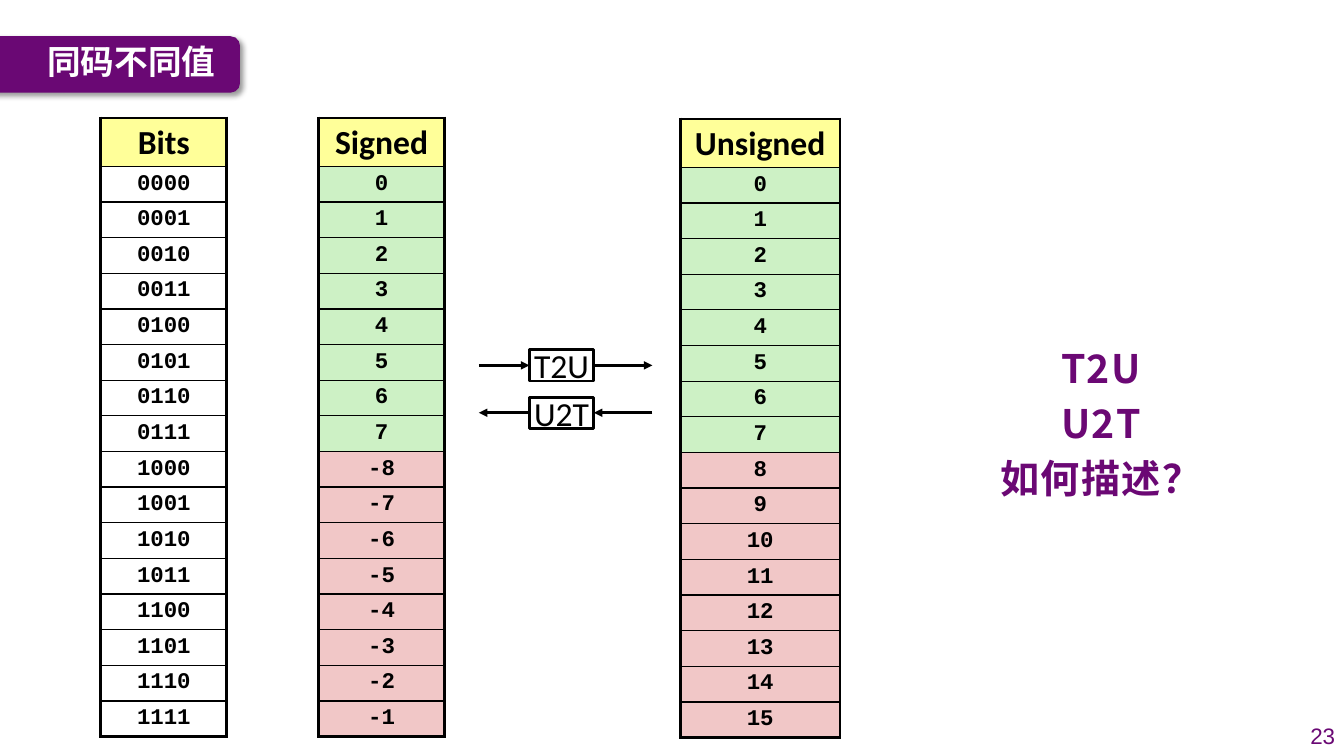
from lxml import etree
from pptx import Presentation
from pptx.dml.color import RGBColor
from pptx.enum.shapes import MSO_CONNECTOR, MSO_SHAPE
from pptx.enum.text import MSO_ANCHOR, PP_ALIGN
from pptx.oxml import parse_xml
from pptx.oxml.ns import nsdecls, qn
from pptx.util import Inches, Pt

STRAIGHT = MSO_CONNECTOR.STRAIGHT
RECTANGLE, ROUNDED = MSO_SHAPE.RECTANGLE, MSO_SHAPE.ROUNDED_RECTANGLE
TOP, MIDDLE = MSO_ANCHOR.TOP, MSO_ANCHOR.MIDDLE
LEFT, CENTER, RIGHT = PP_ALIGN.LEFT, PP_ALIGN.CENTER, PP_ALIGN.RIGHT

PURPLE = RGBColor(0x6A, 0x08, 0x74)
QUESTION_PURPLE = RGBColor(0x6B, 0x08, 0x74)
WHITE = RGBColor(0xFF, 0xFF, 0xFF)
BLACK = RGBColor(0x00, 0x00, 0x00)
YELLOW = RGBColor(0xFF, 0xFF, 0x99)
GREEN = RGBColor(0xCD, 0xF1, 0xC5)
PINK = RGBColor(0xF1, 0xC7, 0xC7)

CHINESE = "Noto Sans CJK SC"
TITLE = {"name": CHINESE, "size": Pt(24), "bold": True, "color": WHITE}
QUESTION = {"name": CHINESE, "size": Pt(28), "bold": True, "color": QUESTION_PURPLE}
HEADING = {"name": "Calibri", "size": Pt(24), "bold": True, "color": BLACK}
CODE = {"name": "Courier New", "size": Pt(16), "bold": True, "color": BLACK}
LABEL = {"name": "Calibri", "size": Pt(24), "bold": False, "color": BLACK}
NUMBER = {"name": "Arial", "size": Pt(16), "bold": False, "color": PURPLE}

HEADING_HEIGHT, ROW_HEIGHT = 0.48, 0.35
BIT_COUNT = 4
CODES = range(2 ** BIT_COUNT)
HALF = len(CODES) // 2


def style_span(span, style):
    """Apply a dict of font values to a run."""
    for key, value in style.items():
        if key == "color":
            span.font.color.rgb = value
        else:
            setattr(span.font, key, value)
    if style["name"] == CHINESE:
        properties = span._r.get_or_add_rPr()
        etree.SubElement(properties, qn("a:ea")).set("typeface", CHINESE)


def write_lines(frame, lines, style, align, gap=0, tracking=0):
    """Write one styled paragraph for each line of text."""
    for index, line in enumerate(lines):
        para = frame.paragraphs[0] if index == 0 else frame.add_paragraph()
        para.alignment = align
        if index:
            para.space_before = Pt(gap)
        span = para.add_run()
        span.text = line
        style_span(span, style)
        if tracking:
            span._r.get_or_add_rPr().set("spc", str(tracking))


def add_text(page, area, lines, style, align, anchor=TOP, wrap=True, **spacing):
    """Add a text box."""
    box = page.shapes.add_textbox(*map(Inches, area))
    box.text_frame.word_wrap = wrap
    box.text_frame.vertical_anchor = anchor
    write_lines(box.text_frame, lines, style, align, **spacing)


def add_title_band(page):
    """Add the purple band with its soft shadow."""
    band = page.shapes.add_shape(ROUNDED, *map(Inches, (-0.81, 0.36, 3.19, 0.56)))
    band.fill.solid()
    band.fill.fore_color.rgb = PURPLE
    band.line.fill.background()
    band.shadow.inherit = False
    effects = band._element.spPr.find(qn("a:effectLst"))
    effects.append(parse_xml(
        f'<a:outerShdw {nsdecls("a")} blurRad="{Pt(4)}" dist="{Pt(3)}" dir="2700000" '
        'algn="tl" rotWithShape="0"><a:srgbClr val="000000"><a:alpha val="40000"/>'
        '</a:srgbClr></a:outerShdw>'))


def set_borders(cell, widths):
    """Draw black left, right, top and bottom cell borders."""
    properties = cell._tc.get_or_add_tcPr()
    for index, (side, width) in enumerate(zip("LRTB", widths)):
        properties.insert(index, parse_xml(
            f'<a:ln{side} {nsdecls("a")} w="{Pt(width)}"><a:solidFill>'
            f'<a:srgbClr val="{BLACK}"/></a:solidFill></a:ln{side}>'))


def add_column(page, left, top, width, heading, values, colors):
    """Add a one-column table with a heading and its values."""
    texts = [heading, *values]
    height = HEADING_HEIGHT + ROW_HEIGHT * len(values)
    area = map(Inches, (left, top, width, height))
    table = page.shapes.add_table(len(texts), 1, *area).table
    last = len(texts) - 1
    for index, (text, color) in enumerate(zip(texts, [YELLOW, *colors])):
        table.rows[index].height = Inches(ROW_HEIGHT if index else HEADING_HEIGHT)
        cell = table.cell(index, 0)
        for side in ("left", "right", "top", "bottom"):
            setattr(cell, f"margin_{side}", Inches(0.05))
        cell.fill.solid()
        cell.fill.fore_color.rgb = color
        write_lines(cell.text_frame, [text], CODE if index else HEADING, CENTER)
        cell.text_frame.paragraphs[0].line_spacing = 0.95
        set_borders(cell, (2.25, 2.25, 1 if index else 2.25, 2.25 if index == last else 1))


def add_label(page, top, text):
    """Add a framed conversion label."""
    box = page.shapes.add_shape(RECTANGLE, *map(Inches, (5.25, top, 0.64, 0.31)))
    box.fill.solid()
    box.fill.fore_color.rgb = WHITE
    box.line.color.rgb = BLACK
    box.line.width = Pt(2)
    box.shadow.inherit = False
    box.text_frame.word_wrap = False
    box.text_frame.vertical_anchor = MIDDLE
    write_lines(box.text_frame, [text], LABEL, CENTER)
    return box


def add_arrow(page, box, site, outer, inward):
    """Join a label side to an outer point, pointing inward or outward."""
    middle = box.top + box.height // 2
    arrow = page.shapes.add_connector(STRAIGHT, Inches(outer), middle, Inches(outer), middle)
    arrow.end_connect(box, site)
    arrow.line.color.rgb = BLACK
    arrow.line.width = Pt(2)
    line = arrow._element.spPr.find(qn("a:ln"))
    etree.SubElement(line, qn("a:tailEnd" if inward else "a:headEnd")).set("type", "triangle")
    etree.SubElement(arrow._element.spPr, qn("a:effectLst"))


def add_conversion(page, top, text, rightward):
    """Add a label with an arrow passing through it."""
    box = add_label(page, top, text)
    add_arrow(page, box, 1, 4.75, rightward)
    add_arrow(page, box, 3, 6.47, not rightward)


def main():
    """Build the slide and save the deck."""
    deck = Presentation()
    deck.slide_width, deck.slide_height = Inches(13.33), Inches(7.5)
    page = deck.slides.add_slide(deck.slide_layouts[6])
    add_title_band(page)
    add_text(page, (0.37, 0.36, 2.01, 0.55), ["同码不同值"], TITLE, LEFT)
    add_text(page, (9.8, 3.37, 2.24, 1.7), ["T2U", "U2T", "如何描述？"], QUESTION,
             CENTER, wrap=False, gap=5.6, tracking=100)
    bits = [f"{code:0{BIT_COUNT}b}" for code in CODES]
    signed = [str(code if code < HALF else code - len(CODES)) for code in CODES]
    unsigned = [str(code) for code in CODES]
    halves = [GREEN] * HALF + [PINK] * HALF
    add_column(page, 3.16, 1.17, 1.25, "Signed", signed, halves)
    add_column(page, 6.75, 1.18, 1.58, "Unsigned", unsigned, halves)
    add_column(page, 1, 1.17, 1.25, "Bits", bits, [WHITE] * len(CODES))
    add_conversion(page, 3.94, "U2T", False)
    add_conversion(page, 3.47, "T2U", True)
    add_text(page, (12.79, 7.1, 0.55, 0.4), ["23"], NUMBER, RIGHT, MIDDLE)
    deck.save("out.pptx")


if __name__ == "__main__":
    main()
